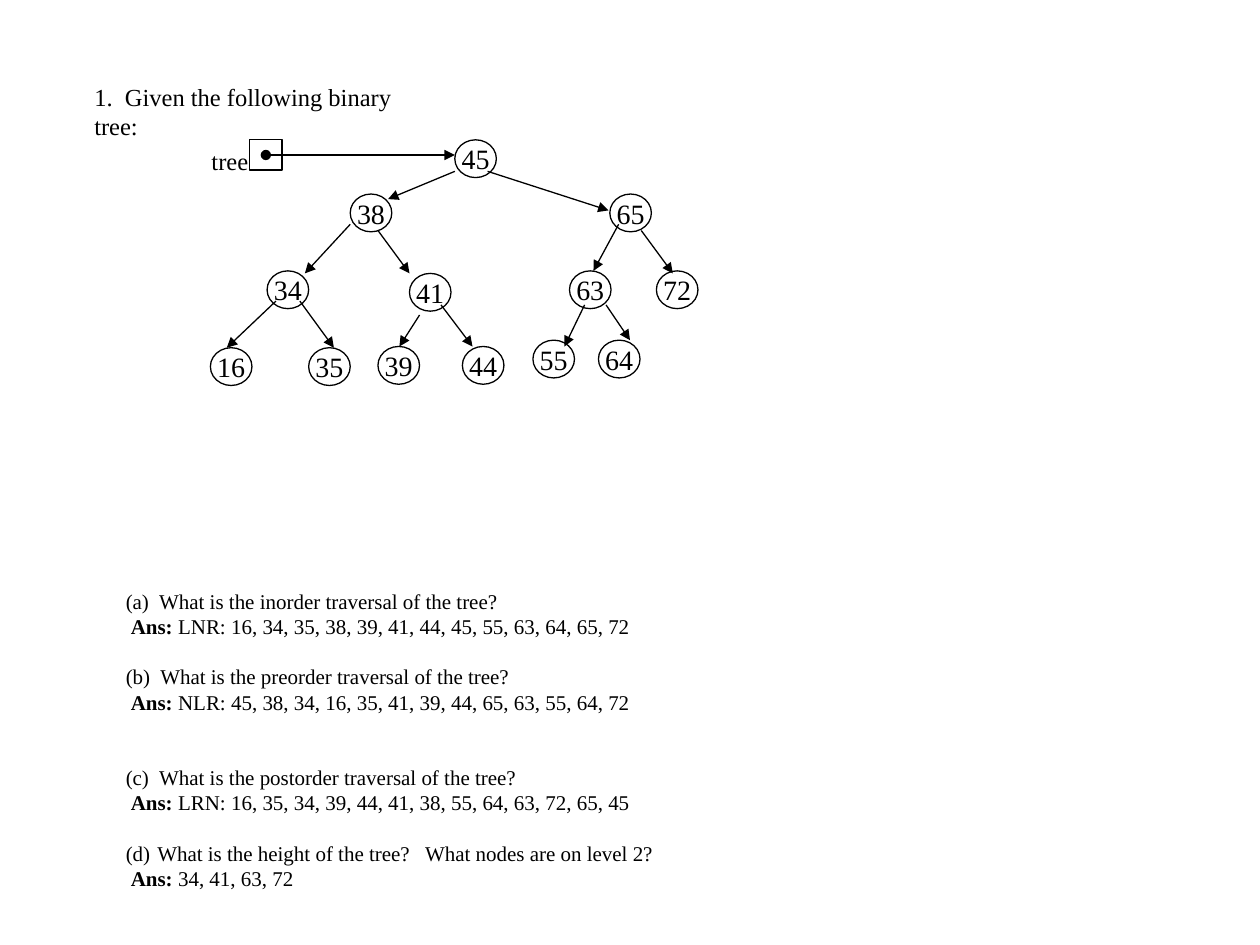
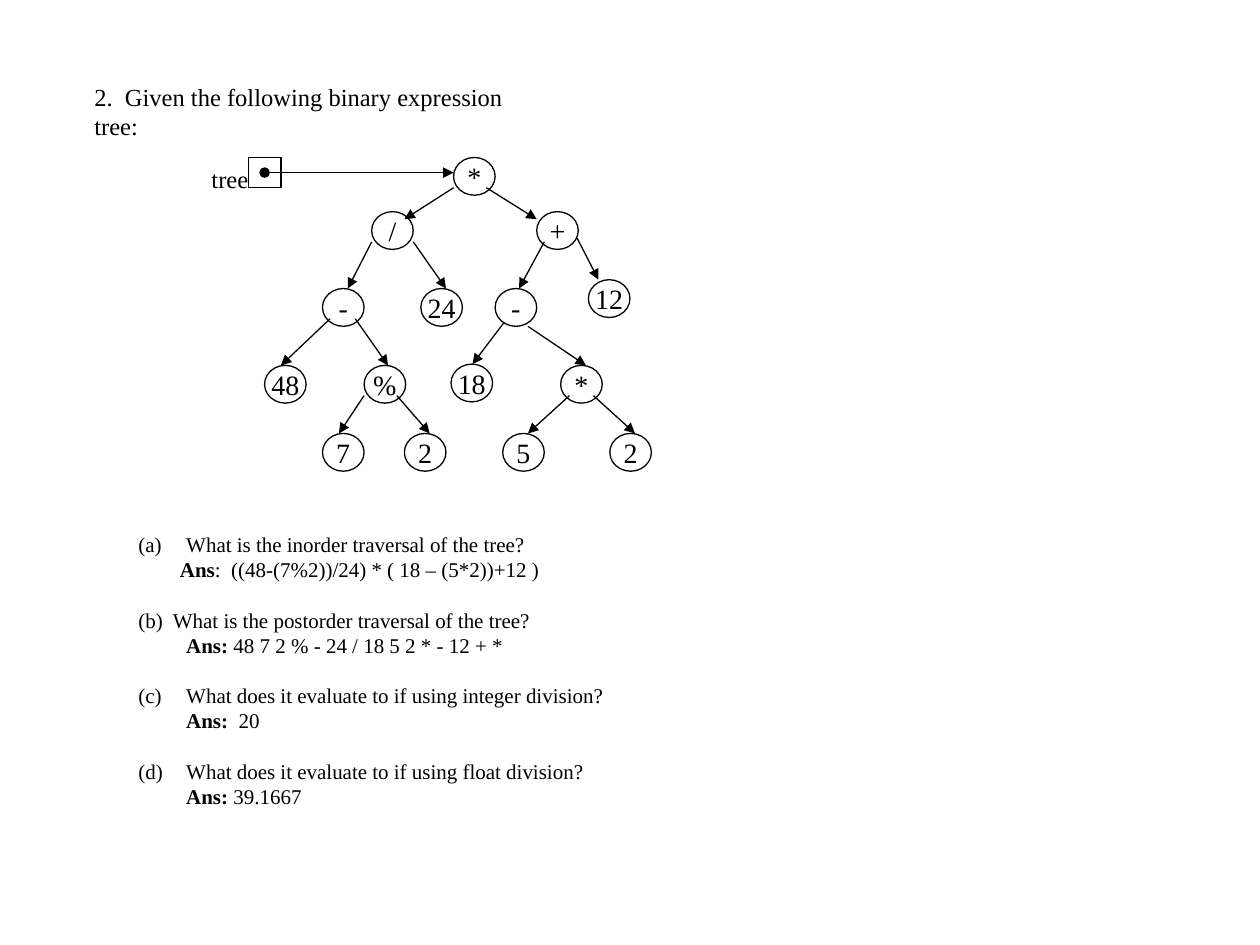
import pptx
import pptx.dml.color
import pptx.enum.shapes
import pptx.enum.text
import pptx.oxml.ns
import pptx.util
from lxml import etree

Inches = pptx.util.Inches
Pt = pptx.util.Pt
qn = pptx.oxml.ns.qn
SHAPES = pptx.enum.shapes.MSO_SHAPE

COLOURS = {"ink": "000000"}
FONT = "Times New Roman"
TITLE_SIZE, NODE_SIZE, ANSWER_SIZE = 14, 16, 12
LINE_FACTOR = 1.2
LINE_WIDTH = 0.75
NODE_W, NODE_H = 0.33, 0.3
POINTER_W, POINTER_H = 0.26, 0.24

# Nodes: label, left, top, then the arrow from the parent (x1, y1, x2, y2),
# all measured from the top left corner of the tree.
SEARCH_TREE = [
    ("45", 2.03, 0, (0.53, 0.12, 2.03, 0.12)),
    ("38", 1.2, 0.43, (2.03, 0.25, 1.5, 0.47)),
    ("65", 3.26, 0.43, (2.29, 0.25, 3.25, 0.56)),
    ("34", 0.54, 1.04, (1.2, 0.67, 0.84, 1.06)),
    ("41", 1.67, 1.06, (1.42, 0.72, 1.67, 1.06)),
    ("63", 2.94, 1.04, (3.33, 0.67, 3.13, 1.04)),
    ("72", 3.63, 1.04, (3.51, 0.72, 3.76, 1.06)),
    ("16", 0.09, 1.65, (0.61, 1.28, 0.22, 1.65)),
    ("35", 0.87, 1.65, (0.8, 1.28, 1.07, 1.65)),
    ("39", 1.42, 1.64, (1.75, 1.39, 1.59, 1.64)),
    ("44", 2.09, 1.64, (1.92, 1.31, 2.17, 1.64)),
    ("55", 2.65, 1.59, (3.06, 1.31, 2.9, 1.64)),
    ("64", 3.17, 1.59, (3.23, 1.31, 3.42, 1.59)),
]
EXPRESSION_TREE = [
    ("*", 2.02, 0, (0.52, 0.12, 2.02, 0.12)),
    ("/", 1.37, 0.43, (2.02, 0.24, 1.63, 0.49)),
    ("+", 2.68, 0.43, (2.28, 0.24, 2.68, 0.49)),
    ("-", 0.98, 1.04, (1.37, 0.67, 1.18, 1.04)),
    ("24", 1.76, 1.04, (1.7, 0.67, 1.96, 1.04)),
    ("-", 2.35, 1.04, (2.74, 0.67, 2.54, 1.04)),
    ("12", 3.09, 0.97, (3, 0.64, 3.17, 0.97)),
    ("48", 0.52, 1.65, (1.04, 1.28, 0.65, 1.65)),
    ("%", 1.31, 1.65, (1.24, 1.28, 1.5, 1.65)),
    ("18", 2, 1.64, (2.42, 1.31, 2.17, 1.64)),
    ("*", 2.87, 1.65, (2.61, 1.34, 3.07, 1.65)),
    ("7", 0.98, 2.19, (1.31, 1.89, 1.11, 2.19)),
    ("2", 1.63, 2.19, (1.57, 1.89, 1.83, 2.19)),
    ("5", 2.41, 2.19, (2.94, 1.89, 2.61, 2.19)),
    ("2", 3.26, 2.19, (3.13, 1.89, 3.46, 2.19)),
]

# Questions: blank lines above, automatic number (None where it is typed),
# text indent, question, answer indent, bold lead, answer.
TRAVERSAL_QUESTIONS = [
    (0, None, 0, "(a)  What is the inorder traversal of the tree?",
     0.04, "Ans: ", "LNR: 16, 34, 35, 38, 39, 41, 44, 45, 55, 63, 64, 65, 72"),
    (1, None, 0, "(b)  What is the preorder traversal of the tree?",
     0.04, "Ans: ", "NLR: 45, 38, 34, 16, 35, 41, 39, 44, 65, 63, 55, 64, 72"),
    (2, None, 0, "(c)  What is the postorder traversal of the tree?",
     0.04, "Ans: ", "LRN: 16, 35, 34, 39, 44, 41, 38, 55, 64, 63, 72, 65, 45"),
    (1, 4, 0.25, "What is the height of the tree?   What nodes are on level 2?",
     0.04, "Ans:", " 34, 41, 63, 72"),
]
EXPRESSION_QUESTIONS = [
    (0, 1, 0.38, "What is the inorder traversal of the tree?",
     0.33, "Ans", ":  ((48-(7%2))/24) * ( 18 – (5*2))+12 )"),
    (1, None, 0, "(b)  What is the postorder traversal of the tree?",
     0.38, "Ans: ", "48 7 2 % - 24 / 18 5 2 * - 12 + *"),
    (1, 3, 0.38, "What does it evaluate to if using integer division?",
     0.38, "Ans:", "  20"),
    (1, 4, 0.38, "What does it evaluate to if using float division?",
     0.38, "Ans: ", "39.1667"),
]


def ink():
    return pptx.dml.color.RGBColor.from_string(COLOURS["ink"])


def style_paragraph(paragraph, size):
    paragraph.font.name = FONT
    paragraph.font.size = Pt(size)
    paragraph.font.color.rgb = ink()
    paragraph.line_spacing = Pt(size * LINE_FACTOR)


def add_label(shapes, left, top, width, text, wrap):
    box = shapes.add_textbox(Inches(left), Inches(top), Inches(width), Inches(0.33))
    box.text_frame.word_wrap = wrap
    paragraph = box.text_frame.paragraphs[0]
    paragraph.text = text
    style_paragraph(paragraph, TITLE_SIZE)


def add_outline(shapes, preset, left, top, width, height):
    outline = shapes.add_shape(preset, Inches(left), Inches(top), Inches(width), Inches(height))
    outline.shadow.inherit = False
    outline.fill.background()
    outline.line.color.rgb = ink()
    outline.line.width = Pt(LINE_WIDTH)
    return outline


def add_node(shapes, left, top, label):
    node = add_outline(shapes, SHAPES.OVAL, left, top, NODE_W, NODE_H)
    frame = node.text_frame
    frame.word_wrap = False
    frame.vertical_anchor = pptx.enum.text.MSO_ANCHOR.MIDDLE
    paragraph = frame.paragraphs[0]
    paragraph.text = label
    paragraph.alignment = pptx.enum.text.PP_ALIGN.CENTER
    style_paragraph(paragraph, NODE_SIZE)


def add_arrow(shapes, x1, y1, x2, y2, dotted_start):
    arrow = shapes.add_connector(pptx.enum.shapes.MSO_CONNECTOR.STRAIGHT,
                                 Inches(x1), Inches(y1), Inches(x2), Inches(y2))
    arrow.line.color.rgb = ink()
    arrow.line.width = Pt(LINE_WIDTH)
    line = arrow.line._get_or_add_ln()
    if dotted_start:
        etree.SubElement(line, qn("a:headEnd"), type="oval")
    etree.SubElement(line, qn("a:tailEnd"), type="triangle")
    etree.SubElement(arrow._element.spPr, qn("a:effectLst"))


def add_tree(slide, left, top, nodes):
    """Draw the tree pointer, then every node with the arrow that leads to it."""
    shapes = slide.shapes.add_group_shape().shapes
    pointer_x = left + nodes[0][3][0] - POINTER_W / 2
    add_outline(shapes, SHAPES.RECTANGLE, pointer_x, top, POINTER_W, POINTER_H)
    add_label(shapes, left, top, 0.49, "tree", wrap=False)
    for index, (label, x, y, (x1, y1, x2, y2)) in enumerate(nodes):
        add_node(shapes, left + x, top + y, label)
        add_arrow(shapes, left + x1, top + y1, left + x2, top + y2, dotted_start=index == 0)


def indent_paragraph(paragraph, indent, number=None):
    """Indent the text; a number hangs in the indent as (a), (b), ..."""
    properties = paragraph._p.get_or_add_pPr()
    properties.set("marL", str(Inches(indent)))
    properties.set("indent", str(-Inches(indent) if number else 0))
    if number:
        etree.SubElement(properties, qn("a:buFont"), typeface=FONT)
        etree.SubElement(properties, qn("a:buAutoNum"),
                         type="alphaLcParenBoth", startAt=str(number))


def add_questions(slide, left, top, width, height, questions):
    box = slide.shapes.add_textbox(Inches(left), Inches(top), Inches(width), Inches(height))
    frame = box.text_frame
    frame.word_wrap = True
    for index, (gap, number, indent, question, answer_indent, lead, answer) in enumerate(questions):
        asked = frame.add_paragraph() if index else frame.paragraphs[0]
        asked.text = question
        asked.space_before = Pt(gap * ANSWER_SIZE * LINE_FACTOR)
        indent_paragraph(asked, indent, number)
        answered = frame.add_paragraph()
        lead_run = answered.add_run()
        lead_run.text = lead
        lead_run.font.bold = True
        answered.add_run().text = answer
        indent_paragraph(answered, answer_indent)
        for paragraph in (asked, answered):
            style_paragraph(paragraph, ANSWER_SIZE)


def add_exercise(deck, title, title_width, tree_top, nodes, questions_box, questions):
    slide = deck.slides.add_slide(deck.slide_layouts[6])
    add_label(slide.shapes, 0.65, 0.6, title_width, title, wrap=True)
    add_questions(slide, *questions_box, questions)
    add_tree(slide, 1.58, tree_top, nodes)


def main():
    deck = pptx.Presentation()
    deck.slide_width, deck.slide_height = Inches(10), Inches(7.5)
    add_exercise(deck, "1.  Given the following binary tree:", 2.9,
                 1.11, SEARCH_TREE, (0.9, 4.62, 4.44, 2.32), TRAVERSAL_QUESTIONS)
    add_exercise(deck, "2.  Given the following binary expression tree:", 3.75,
                 1.25, EXPRESSION_TREE, (1, 4.17, 3.94, 2.73), EXPRESSION_QUESTIONS)
    deck.save("out.pptx")


if __name__ == "__main__":
    main()
